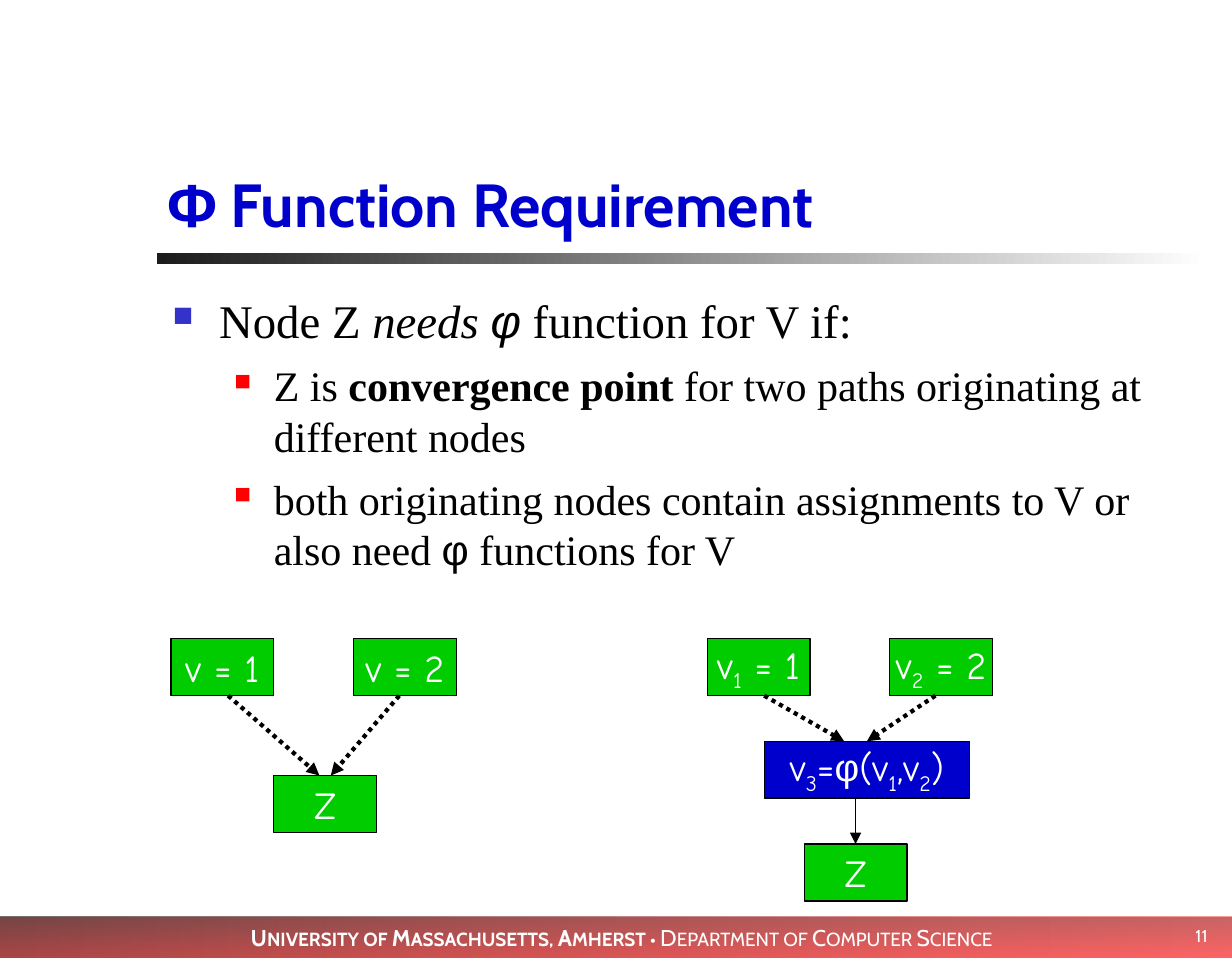
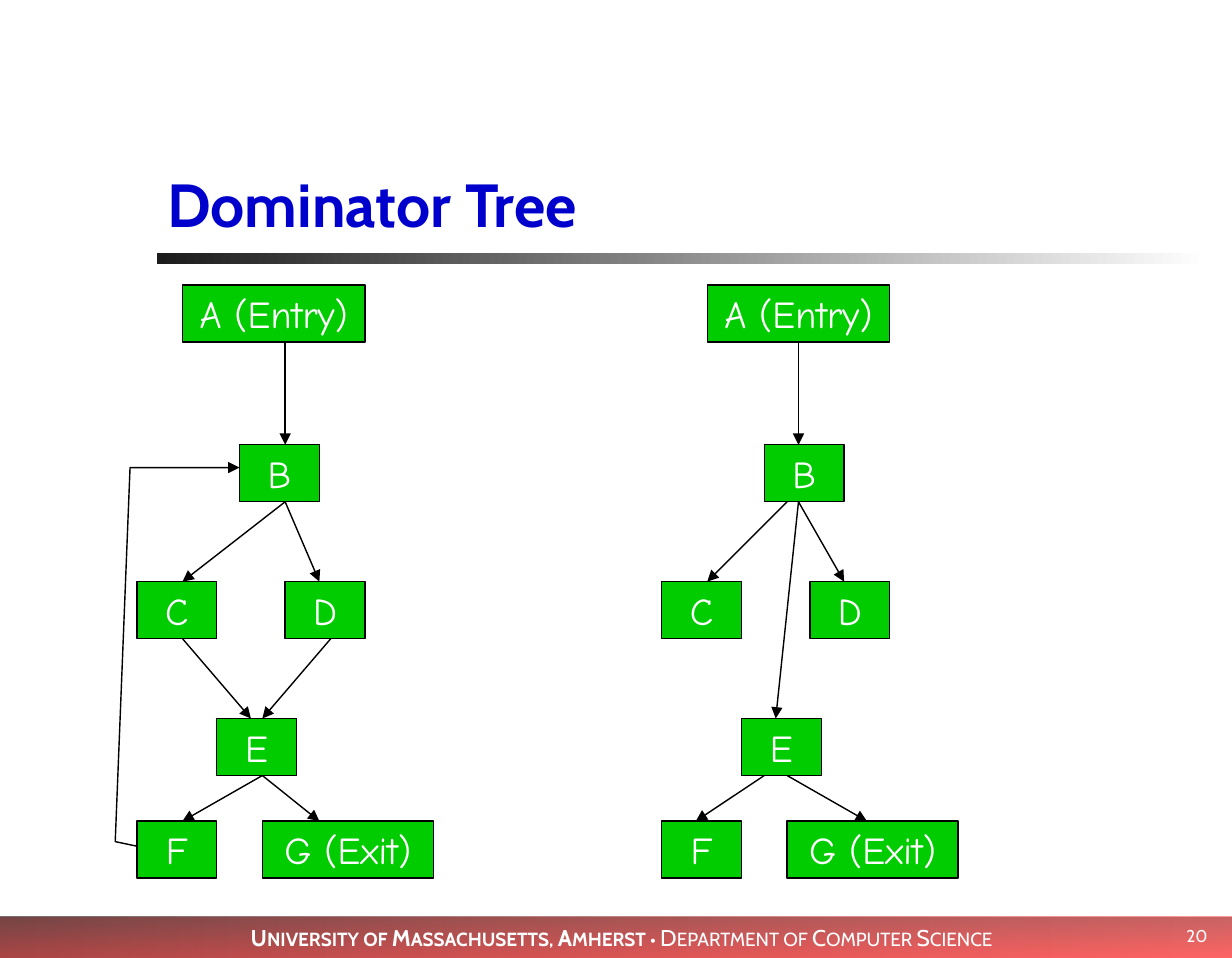
"""Build two lecture slides: phi function placement and a dominator tree."""
from itertools import groupby

from pptx import Presentation
from pptx.dml.color import RGBColor
from pptx.enum.dml import MSO_LINE
from pptx.enum.shapes import MSO_CONNECTOR, MSO_SHAPE
from pptx.enum.text import MSO_ANCHOR, PP_ALIGN
from pptx.oxml.ns import qn
from pptx.util import Inches, Pt
from lxml.etree import SubElement

COLOURS = {
    "title": "0000CC", "text": "000000", "light": "FFFFFF", "line": "000000",
    "node": "00CC00", "phi": "0000CC", "bullet": "3333CC", "sub_bullet": "FF0000",
}
TITLE_FONT, BODY_FONT, NODE_FONT, GREEK_FONT = "Cabin", "Times New Roman", "Comic Neue", "Arial"
GRID = 1 / 12
NODE_ROWS = 5

BANDS = [
    ((0, 6.7, 9, 0.3), 180, [("FF0000", 35), ("000000", 55)]),
    ((1.15, 1.85, 7.68, 0.08), 180, [("FFFFFF", 100), ("1C1C1C", 100)]),
    ((0, 6.7, 9, 0.3), 270, [("760000", 40), ("FF0000", 40)]),
]
FOOTER = [("University of Massachusetts, Amherst", True), (" • Department of Computer Science", False)]

BULLETS = [
    (0, [("Node Z ", ""), ("needs ", "italic"), ("φ", "italic greek"), (" function for V if:", "")]),
    (1, [("Z is ", ""), ("convergence point ", "bold"),
         ("for two paths originating at different nodes", "")]),
    (1, [("both originating nodes contain assignments to V or also need ", ""),
         ("φ", "greek"), (" functions for V", "")]),
]
BULLET_LEVELS = [
    {"size": 24.6, "margin": 0.34, "hanging": 0.34, "before": 0, "colour": "bullet", "percent": 60},
    {"size": 22.1, "margin": 0.74, "hanging": 0.29, "before": 6.5, "colour": "sub_bullet", "percent": 55},
]

PHI_NODES = {
    "one": ([("v = 1", "")], 15, 56, 9, "node"),
    "two": ([("v = 2", "")], 31, 56, 9, "node"),
    "join": ([("Z", "")], 24, 68, 9, "node"),
    "first": ([("v", ""), ("1", "sub"), (" = 1", "")], 62, 56, 9, "node"),
    "second": ([("v", ""), ("2", "sub"), (" = 2", "")], 78, 56, 9, "node"),
    "phi": ([("v", ""), ("3", "sub"), ("=", ""), ("φ", "greek"), ("(v", ""),
             ("1", "sub"), (",v", ""), ("2", "sub"), (")", "")], 67, 65, 18, "phi"),
    "result": ([("Z", "")], 70.5, 74, 9, "node"),
}
PHI_PATHS = [
    ("one", "join", 20, 28), ("two", "join", 35, 29),
    ("first", "phi", 67, 74), ("second", "phi", 82, 76),
]
PHI_RESULT = [("phi", "result", 75, 75)]

TREE_NODES = {
    name[0]: ([(name, "")], column, row, width, "node")
    for name, column, row, width in [
        ("A (Entry)", 4, 25, 16), ("B", 9, 39, 7), ("C", 0, 51, 7), ("D", 13, 51, 7),
        ("E", 7, 63, 7), ("F", 0, 72, 7), ("G (Exit)", 11, 72, 15),
    ]
}
FLOW_EDGES = [
    ("A", "B", 13, 13), ("B", "C", 13, 4), ("B", "D", 13, 16), ("C", "E", 4, 10),
    ("D", "E", 17, 11), ("E", "F", 11, 4), ("E", "G", 11, 16),
]
DOMINATOR_EDGES = [
    ("A", "B", 12, 12), ("B", "D", 12, 16), ("B", "C", 11, 4),
    ("E", "G", 11, 18), ("E", "F", 9, 3), ("B", "E", 12, 10),
]
FLOW_LEFT, DOMINATOR_LEFT = 12, 58
LOOP_BACK = [(12, 74.2), (10.1, 73.8), (11.4, 41), (21, 41)]


def colour(name):
    return RGBColor.from_string(COLOURS[name])


def grid(value):
    return Inches(value * GRID)


def set_font(font, name, size, colour_name, bold=False):
    font.name, font.size, font.bold = name, Pt(size), bold
    font.color.rgb = colour(colour_name)


def add_runs(paragraph, runs):
    for text, style in runs:
        run = paragraph.add_run()
        run.text = text
        if "bold" in style:
            run.font.bold = True
        if "italic" in style:
            run.font.italic = True
        if "greek" in style:
            run.font.name = GREEK_FONT
        if "sub" in style:
            run._r.get_or_add_rPr().set("baseline", "-25000")


def style_line(shape, width, arrow=True):
    shape.line.color.rgb = colour("line")
    shape.line.width = Pt(width)
    if arrow:
        SubElement(shape.line._get_or_add_ln(), qn("a:tailEnd"), type="triangle")


def add_band(slide, box, angle, stops):
    band = slide.shapes.add_shape(MSO_SHAPE.RECTANGLE, *map(Inches, box))
    band.shadow.inherit = False
    band.fill.gradient()
    band.fill.gradient_angle = angle
    for stop, (value, opacity) in zip(band.fill.gradient_stops, stops):
        stop.color.rgb = RGBColor.from_string(value)
    for element, (value, opacity) in zip(band.element.spPr.iter(qn("a:srgbClr")), stops):
        SubElement(element, qn("a:alpha"), val=str(opacity * 1000))
    band.line.fill.background()
    return band


def add_footer_text(band):
    frame = band.text_frame
    frame.margin_left = Inches(0.18)
    frame.vertical_anchor = MSO_ANCHOR.MIDDLE
    paragraph = frame.paragraphs[0]
    paragraph.alignment = PP_ALIGN.CENTER
    for phrase, bold in FOOTER:
        for capital, letters in groupby(phrase, str.isupper):
            run = paragraph.add_run()
            run.text = "".join(letters).upper()
            set_font(run.font, TITLE_FONT, 12 if capital else 10, "light", bold)


def furnish_layout(slide):
    bands = [add_band(slide, *band) for band in BANDS]
    add_footer_text(bands[-1])
    for band in bands:
        slide.slide_layout.shapes.element.append(band.element)


def add_title(slide, runs):
    title = slide.shapes.title
    title.left, title.top, title.width, title.height = map(Inches, (1.13, 0.63, 7.67, 1.17))
    frame = title.text_frame
    frame.margin_left = frame.margin_right = Inches(0.09)
    frame.vertical_anchor = MSO_ANCHOR.BOTTOM
    paragraph = frame.paragraphs[0]
    paragraph.alignment = PP_ALIGN.LEFT
    set_font(paragraph.font, TITLE_FONT, 32, "title", True)
    add_runs(paragraph, runs)


def add_number(slide, number):
    box = slide.shapes.add_textbox(*map(Inches, (8.25, 6.67, 0.67, 0.33)))
    box.text_frame.word_wrap = True
    box.text_frame.vertical_anchor = MSO_ANCHOR.MIDDLE
    paragraph = box.text_frame.paragraphs[0]
    paragraph.text = str(number)
    paragraph.alignment = PP_ALIGN.RIGHT
    set_font(paragraph.font, TITLE_FONT, 9, "light")


def add_bullets(slide):
    box = slide.shapes.add_textbox(*map(Inches, (1.17, 2.08, 7.65, 2.58)))
    frame = box.text_frame
    frame.word_wrap = True
    frame.margin_left = frame.margin_right = Inches(0.09)
    for index, (level, runs) in enumerate(BULLETS):
        paragraph = frame.paragraphs[0] if index == 0 else frame.add_paragraph()
        look = BULLET_LEVELS[level]
        paragraph.level = level
        paragraph.space_before = Pt(look["before"])
        properties = paragraph._p.get_or_add_pPr()
        properties.set("marL", str(Inches(look["margin"])))
        properties.set("indent", str(-Inches(look["hanging"])))
        bullet_colour = SubElement(properties, qn("a:buClr"))
        SubElement(bullet_colour, qn("a:srgbClr"), val=COLOURS[look["colour"]])
        SubElement(properties, qn("a:buSzPct"), val=str(look["percent"] * 1000))
        SubElement(properties, qn("a:buChar"), char="■")
        set_font(paragraph.font, BODY_FONT, look["size"], "text")
        add_runs(paragraph, runs)


def add_nodes(slide, nodes, left=0):
    for runs, column, row, width, fill in nodes.values():
        node = slide.shapes.add_shape(
            MSO_SHAPE.RECTANGLE, grid(left + column), grid(row), grid(width), grid(NODE_ROWS))
        node.shadow.inherit = False
        node.fill.solid()
        node.fill.fore_color.rgb = colour(fill)
        style_line(node, 0.75, arrow=False)
        node.text_frame.word_wrap = False
        node.text_frame.vertical_anchor = MSO_ANCHOR.MIDDLE
        paragraph = node.text_frame.paragraphs[0]
        paragraph.alignment = PP_ALIGN.CENTER
        set_font(paragraph.font, NODE_FONT, 20, "light")
        add_runs(paragraph, runs)


def add_edges(slide, nodes, edges, left=0, width=0.75, dotted=False):
    for source, target, start, end in edges:
        edge = slide.shapes.add_connector(
            MSO_CONNECTOR.STRAIGHT, grid(left + start), grid(nodes[source][2] + NODE_ROWS),
            grid(left + end), grid(nodes[target][2]))
        SubElement(edge.element.spPr, qn("a:effectLst"))
        if dotted:
            edge.line.dash_style = MSO_LINE.ROUND_DOT
        style_line(edge, width)


def add_loop_back(slide):
    points = [(grid(column), grid(row)) for column, row in LOOP_BACK]
    builder = slide.shapes.build_freeform(*points[0], scale=1.0)
    builder.add_line_segments(points[1:], close=False)
    loop = builder.convert_to_shape()
    loop.shadow.inherit = False
    loop.fill.background()
    style_line(loop, 0.75)


def add_slide(presentation, title, number):
    slide = presentation.slides.add_slide(presentation.slide_layouts[5])
    add_title(slide, title)
    add_number(slide, number)
    return slide


def main():
    presentation = Presentation()
    presentation.slide_width, presentation.slide_height = Inches(9), Inches(7)

    phi_slide = add_slide(presentation, [("Φ", "greek"), (" Function Requirement", "")], 11)
    furnish_layout(phi_slide)
    add_bullets(phi_slide)
    add_nodes(phi_slide, PHI_NODES)
    add_edges(phi_slide, PHI_NODES, PHI_PATHS, width=2.25, dotted=True)
    add_edges(phi_slide, PHI_NODES, PHI_RESULT, width=0.25)

    tree_slide = add_slide(presentation, [("Dominator Tree", "")], 20)
    for left, edges in [(FLOW_LEFT, FLOW_EDGES), (DOMINATOR_LEFT, DOMINATOR_EDGES)]:
        add_nodes(tree_slide, TREE_NODES, left)
        add_edges(tree_slide, TREE_NODES, edges, left)
    add_loop_back(tree_slide)

    presentation.save("out.pptx")


if __name__ == "__main__":
    main()
